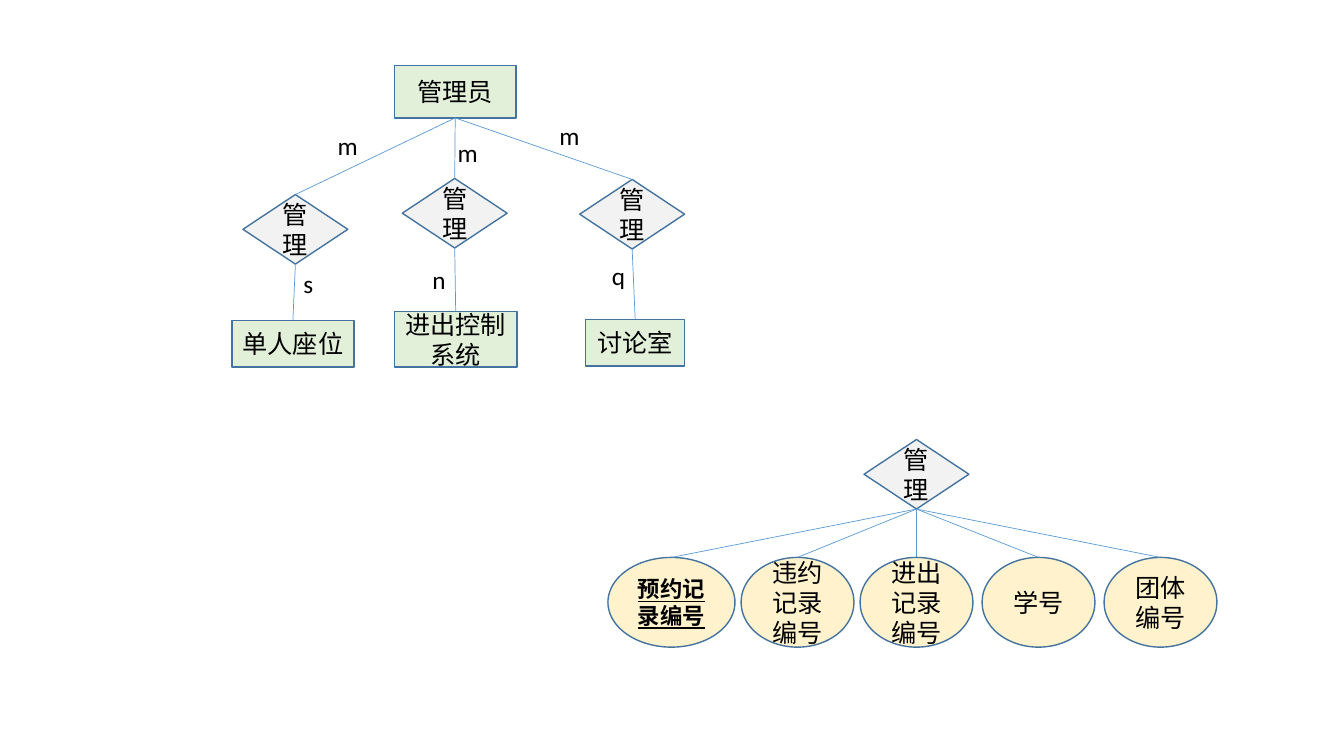
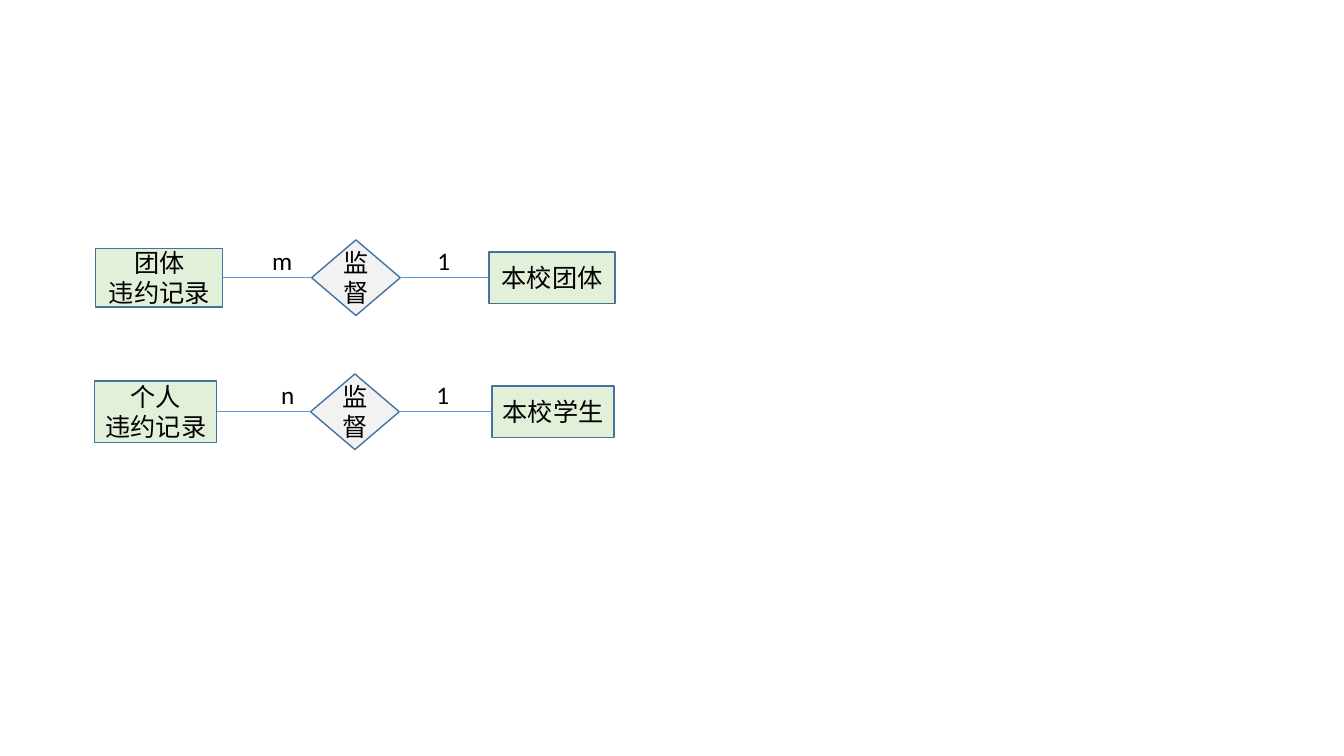
from lxml.etree import SubElement
from pptx import Presentation
from pptx.dml.color import RGBColor
from pptx.enum.shapes import MSO_CONNECTOR, MSO_SHAPE
from pptx.enum.text import MSO_ANCHOR, MSO_AUTO_SIZE, PP_ALIGN
from pptx.oxml.ns import qn
from pptx.util import Inches, Pt

COLORS = {
    "entity": "E2F0D9",
    "relation": "F2F2F2",
    "attribute": "FFF2CC",
    "outline": "43739E",
    "link": "5B9BD5",
    "text": "000000",
}
GEOMETRY = {
    "entity": MSO_SHAPE.RECTANGLE,
    "relation": MSO_SHAPE.DIAMOND,
    "attribute": MSO_SHAPE.OVAL,
}
TEXT_FORMAT = {"name": "Calibri", "size": Pt(18)}
KEY_FORMAT = {"size": Pt(16), "bold": True, "underline": True}
TOP, LEFT, BOTTOM, RIGHT = range(4)


def color(name):
    """Return the named colour."""
    return RGBColor.from_string(COLORS[name])


def write(text_frame, text, alignment, **changes):
    """Write text, one paragraph a line, in the shared format."""
    text_frame.text = text
    for paragraph in text_frame.paragraphs:
        paragraph.alignment = alignment
        for run in paragraph.runs:
            for name, value in {**TEXT_FORMAT, **changes}.items():
                setattr(run.font, name, value)
            run.font.color.rgb = color("text")


def add_node(slide, role, text, left, top, width, height, **changes):
    """Add an entity, relation or attribute and return its shape."""
    shape = slide.shapes.add_shape(
        GEOMETRY[role], Inches(left), Inches(top), Inches(width), Inches(height))
    shape.shadow.inherit = False
    shape.fill.solid()
    shape.fill.fore_color.rgb = color(role)
    shape.line.color.rgb = color("outline")
    shape.line.width = Pt(1)
    shape.text_frame.word_wrap = True
    shape.text_frame.vertical_anchor = MSO_ANCHOR.MIDDLE
    write(shape.text_frame, text, PP_ALIGN.CENTER, **changes)
    return shape


def add_link(slide, start, start_side, end, end_side):
    """Join two nodes with a thin line."""
    connector = slide.shapes.add_connector(MSO_CONNECTOR.STRAIGHT, 0, 0, 0, 0)
    connector.begin_connect(start, start_side)
    connector.end_connect(end, end_side)
    connector.line.color.rgb = color("link")
    connector.line.width = Pt(0.5)
    SubElement(connector._element.spPr, qn("a:effectLst"))


def add_cardinality(slide, text, left, top):
    """Add the letter or number beside a link."""
    width = 0.4 if text == "m" else 0.34
    box = slide.shapes.add_textbox(
        Inches(left), Inches(top), Inches(width), Inches(0.4))
    box.text_frame.word_wrap = False
    box.text_frame.auto_size = MSO_AUTO_SIZE.SHAPE_TO_FIT_TEXT
    write(box.text_frame, text, PP_ALIGN.LEFT)


def add_management_tree(slide, left, top):
    """Draw the administrator above the three things it manages."""
    administrator = add_node(
        slide, "entity", "管理员", left + 1.61, top, 1.21, 0.52)
    # Relation place, entity text and box, then the two cardinalities.
    branches = [
        ((0.11, 1.28), "单人座位", (0, 2.53, 1.21, 0.46),
         ("m", 0.95, 0.59), ("s", 0.61, 1.96)),
        ((1.69, 1.12), "进出控制系统", (1.61, 2.44, 1.22, 0.55),
         ("m", 2.14, 0.66), ("n", 1.89, 1.92)),
        ((3.45, 1.13), "讨论室", (3.51, 2.52, 0.98, 0.46),
         ("m", 3.15, 0.49), ("q", 3.67, 1.88)),
    ]
    for (relation_x, relation_y), text, (x, y, width, height), *labels in branches:
        relation = add_node(slide, "relation", "管理",
                            left + relation_x, top + relation_y, 1.04, 0.69)
        entity = add_node(slide, "entity", text, left + x, top + y, width, height)
        add_link(slide, administrator, BOTTOM, relation, TOP)
        add_link(slide, relation, BOTTOM, entity, TOP)
        for label, label_x, label_y in labels:
            add_cardinality(slide, label, left + label_x, top + label_y)


def add_attribute_tree(slide, left, top):
    """Draw the management relation above its attributes, key first."""
    relation = add_node(slide, "relation", "管理", left + 2.54, top, 1.04, 0.69)
    attributes = [
        ("预约记录编号", 0, 1.26, KEY_FORMAT),
        ("违约记录编号", 1.32, 1.12, {}),
        ("进出记录编号", 2.5, 1.12, {}),
        ("学号", 3.71, 1.12, {}),
        ("团体编号", 4.92, 1.12, {}),
    ]
    for text, x, width, changes in attributes:
        attribute = add_node(slide, "attribute", text, left + x, top + 1.17,
                             width, 0.89, **changes)
        add_link(slide, relation, BOTTOM, attribute, TOP)


def add_supervision_row(slide, left, top, record, member, many, many_x):
    """Draw a record, its supervision and its member, centred on one line."""
    row_width, row_height = 5.15, 0.75

    def add_entity(text, x, width, height):
        """Add an entity in the vertical middle of the row."""
        return add_node(slide, "entity", text, left + x,
                        top + (row_height - height) / 2, width, height)

    record_text, record_width, record_height = record
    member_text, member_width = member
    record_node = add_entity(record_text, 0, record_width, record_height)
    member_node = add_entity(member_text, row_width - member_width, member_width, 0.51)
    relation = add_node(slide, "relation", "监督", left + 2.14, top, 0.88, row_height)
    add_link(slide, record_node, RIGHT, relation, LEFT)
    add_link(slide, relation, RIGHT, member_node, LEFT)
    add_cardinality(slide, many, left + many_x, top)
    add_cardinality(slide, "1", left + 3.29, top)


def build_management_slide(slide):
    """Fill the slide on management."""
    add_management_tree(slide, 2.3, 0.65)
    add_attribute_tree(slide, 6.03, 4.36)


def build_supervision_slide(slide):
    """Fill the slide on supervision."""
    add_supervision_row(slide, 0.95, 2.38, ("团体\n违约记录", 1.26, 0.58),
                        ("本校团体", 1.25), "m", 1.65)
    add_supervision_row(slide, 0.94, 3.71, ("个人\n违约记录", 1.21, 0.61),
                        ("本校学生", 1.21), "n", 1.75)


presentation = Presentation()
presentation.slide_width = Inches(13.33)
presentation.slide_height = Inches(7.5)
for build_slide in (build_management_slide, build_supervision_slide):
    build_slide(presentation.slides.add_slide(presentation.slide_layouts[6]))
presentation.save("out.pptx")
